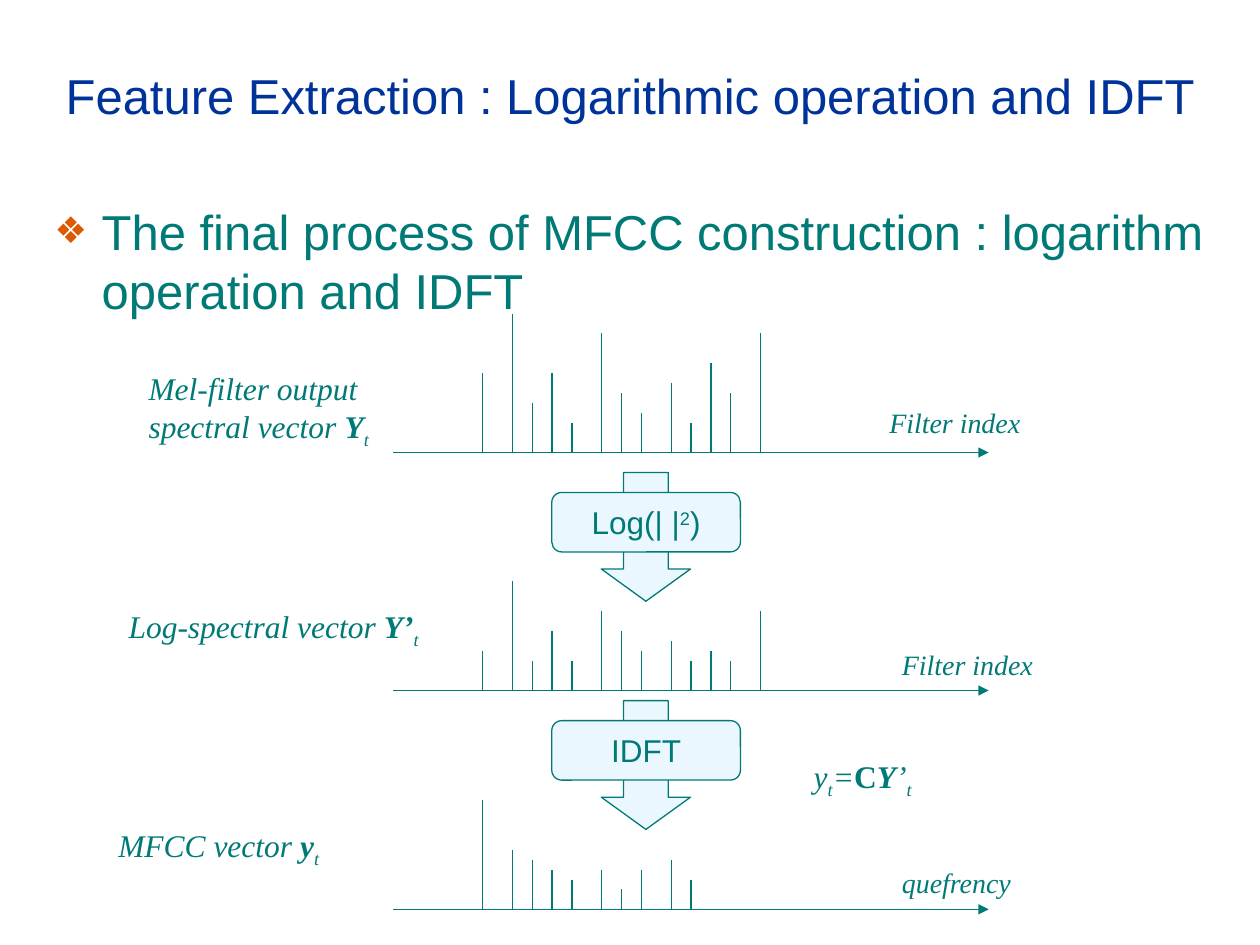
from lxml.etree import SubElement
from pptx import Presentation
from pptx.dml.color import RGBColor
from pptx.enum.shapes import MSO_CONNECTOR, MSO_SHAPE
from pptx.enum.text import MSO_ANCHOR, MSO_AUTO_SIZE, PP_ALIGN
from pptx.oxml.ns import qn
from pptx.util import Pt

COLORS = {"title": "003399", "teal": "007A77", "bullet": "DC5900", "box": "EBF7FF"}
SANS, SERIF = "Arial", "Times New Roman"
BASELINES = {"sub": "-25000", "sup": "30000"}

UNIT = 5.67  # grid step shared by bar positions and bar heights
AXIS_LEFT, AXIS_UNITS = 224.8, 60
BAR_STEPS = [9, 12, 14, 16, 18, 21, 23, 25, 28, 30, 32, 34, 37]
SPECTRA = [
    (258.6, [8, 14, 5, 8, 3, 12, 6, 4, 7, 3, 9, 6, 12]),
    (394.6, [4, 11, 3, 6, 3, 8, 6, 4, 5, 3, 4, 3, 8]),
    (519.6, [11, 6, 5, 4, 3, 4, 2, 4, 5, 3]),
]
STEPS = [
    (270, [("Log(| |", ""), ("2", "sup"), (")", "")]),
    (400.4, [("IDFT", "")]),
]
# left, top, width, height, size, runs
LABELS = [
    (77.8, 207.6, 146, 53.3, 18,
     [("Mel-filter output \nspectral vector ", "i"), ("Y", "i b"), ("t", "i sub")]),
    (66.4, 343.6, 186, 31.7, 18,
     [("Log-spectral vector ", "i"), ("Y’", "i b"), ("t", "i sub")]),
    (60.5, 468.7, 135, 31.7, 18,
     [("MFCC vector ", "i"), ("y", "i b"), ("t", "i sub")]),
    (457.9, 429.1, 76, 31.7, 18,
     [("y", "i"), ("t", "i sub"), ("=", "i"), ("C", "b"), ("Y", "i b"),
      ("’", "i"), ("t", "i sub")]),
    (501.1, 228.2, 95, 26.6, 16, [("Filter index", "i")]),
    (508.3, 366.5, 95, 26.6, 16, [("Filter index", "i")]),
    (508.3, 491, 83, 26.6, 16, [("quefrency", "i")]),
]


def rgb(name):
    return RGBColor.from_string(COLORS[name])


def place(shape, *box):
    for name, value in zip(("left", "top", "width", "height"), box):
        setattr(shape, name, Pt(value))


def write(tf, runs, size, font, color="teal", **frame):
    """Fill the first paragraph with (text, marks) runs and return it."""
    for name, value in {"auto_size": MSO_AUTO_SIZE.NONE, "word_wrap": True, **frame}.items():
        setattr(tf, name, value)
    p = tf.paragraphs[0]
    for text, marks in runs:
        marks = marks.split()
        for n, line in enumerate(text.split("\n")):
            if n:
                p.add_line_break()
            r = p.add_run()
            r.text = line
            look = {"name": font, "size": Pt(size), "bold": "b" in marks, "italic": "i" in marks}
            for name, value in look.items():
                setattr(r.font, name, value)
            r.font.color.rgb = rgb(color)
            for mark in BASELINES.keys() & set(marks):
                r._r.get_or_add_rPr().set("baseline", BASELINES[mark])
    return p


def add_title(s):
    title = s.shapes.title
    place(title, 24, 9.4, 672, 90)
    p = write(title.text_frame, [("Feature Extraction : Logarithmic operation and IDFT", "")],
              28, SANS, "title", vertical_anchor=MSO_ANCHOR.MIDDLE)
    p.alignment = PP_ALIGN.CENTER


def add_bullet(s):
    box = s.shapes.add_textbox(Pt(24), Pt(111.6), Pt(672), Pt(76))
    text = "The final process of MFCC construction : logarithm operation and IDFT"
    p = write(box.text_frame, [(text, "")], 28, SANS)
    p.space_before = Pt(7)
    pPr = p._p.get_or_add_pPr()
    pPr.set("marL", str(Pt(27)))
    pPr.set("indent", str(Pt(-27)))
    SubElement(SubElement(pPr, qn("a:buClr")), qn("a:srgbClr"), val=COLORS["bullet"])
    SubElement(pPr, qn("a:buSzPct"), val="75000")
    SubElement(pPr, qn("a:buFont"), typeface=SANS)
    SubElement(pPr, qn("a:buChar"), char="❖")


def add_line(s, x1, y1, x2, y2, arrow=False):
    line = s.shapes.add_connector(MSO_CONNECTOR.STRAIGHT, Pt(x1), Pt(y1), Pt(x2), Pt(y2))
    line.line.color.rgb = rgb("teal")
    line.line.width = Pt(0.75)
    if arrow:
        SubElement(line.line._get_or_add_ln(), qn("a:tailEnd"), type="triangle")
    SubElement(line._element.spPr, qn("a:effectLst"))


def add_spectrum(s, y, heights):
    add_line(s, AXIS_LEFT, y, AXIS_LEFT + AXIS_UNITS * UNIT, y, arrow=True)
    for step, height in zip(BAR_STEPS, heights):
        x = AXIS_LEFT + step * UNIT
        add_line(s, x, y, x, y - height * UNIT)


def add_block(s, kind, box, adjustments):
    sp = s.shapes.add_shape(kind, *map(Pt, box))
    sp.shadow.inherit = False
    for n, value in enumerate(adjustments):
        sp.adjustments[n] = value
    sp.fill.solid()
    sp.fill.fore_color.rgb = rgb("box")
    sp.line.color.rgb = rgb("teal")
    sp.line.width = Pt(0.75)
    return sp


def add_step(s, top, runs):
    """Put a named operation on a down arrow."""
    add_block(s, MSO_SHAPE.DOWN_ARROW, (343.6, top, 51, 73.6), (0.5, 0.361))
    box = add_block(s, MSO_SHAPE.ROUNDED_RECTANGLE, (315.3, top + 11.4, 107.8, 34), (0.167,))
    p = write(box.text_frame, runs, 18, SANS,
              vertical_anchor=MSO_ANCHOR.MIDDLE, word_wrap=False)
    p.alignment = PP_ALIGN.CENTER


def add_label(s, left, top, width, height, size, runs):
    box = s.shapes.add_textbox(Pt(left), Pt(top), Pt(width), Pt(height))
    write(box.text_frame, runs, size, SERIF)


def main():
    prs = Presentation()
    prs.slide_width, prs.slide_height = Pt(720), Pt(540)
    s = prs.slides.add_slide(prs.slide_layouts[5])
    add_title(s)
    add_bullet(s)
    for spectrum in SPECTRA:
        add_spectrum(s, *spectrum)
    for step in STEPS:
        add_step(s, *step)
    for label in LABELS:
        add_label(s, *label)
    prs.save("out.pptx")


if __name__ == "__main__":
    main()
